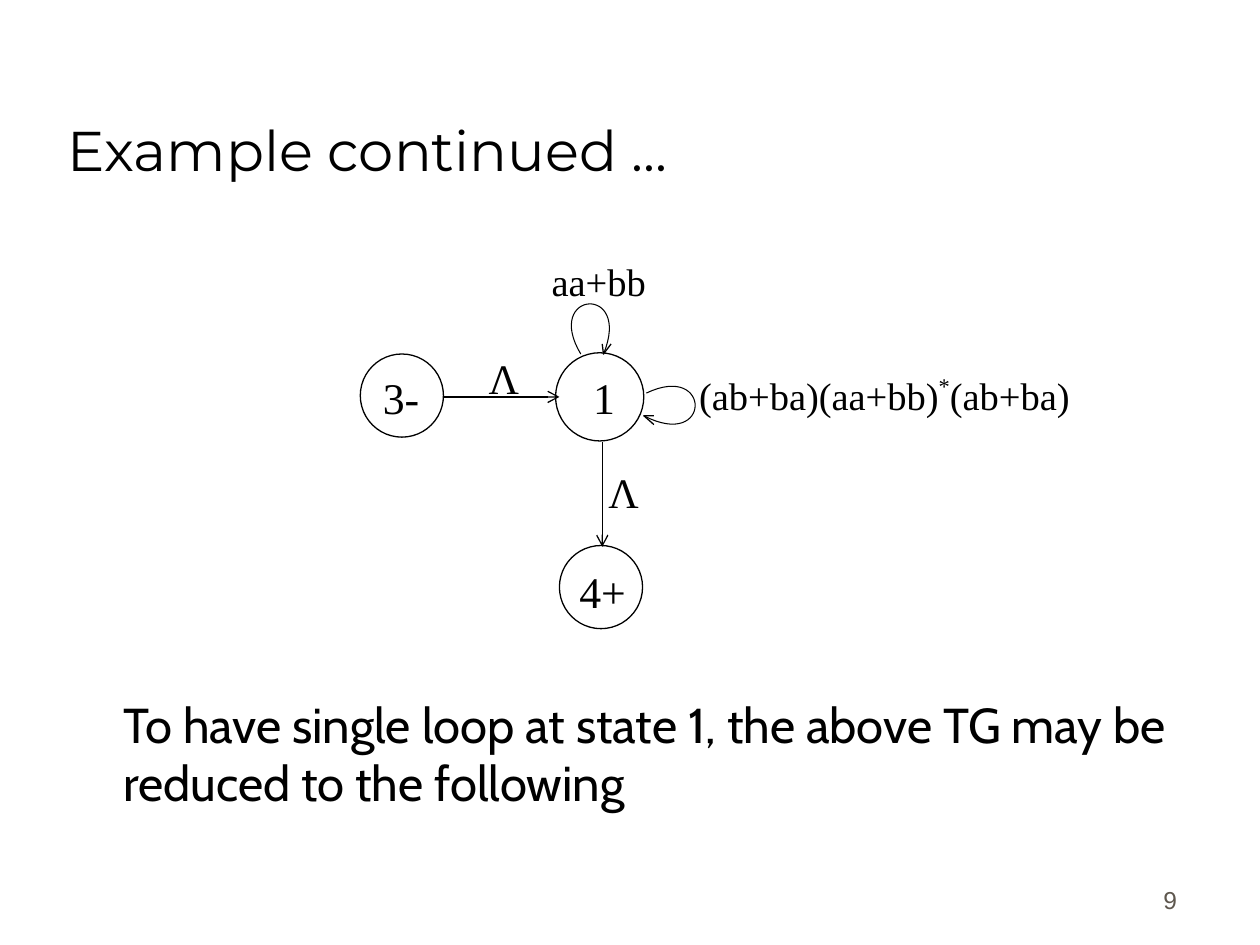
from lxml.etree import SubElement
from pptx import Presentation
from pptx.dml.color import RGBColor
from pptx.enum.shapes import MSO_CONNECTOR, MSO_SHAPE
from pptx.enum.text import MSO_ANCHOR as ANCHOR, PP_ALIGN as ALIGN
from pptx.oxml.ns import qn
from pptx.util import Inches, Pt

BLACK = RGBColor(0x00, 0x00, 0x00)
WHITE = RGBColor(0xFF, 0xFF, 0xFF)
GREY = RGBColor(0x5E, 0x57, 0x4E)
SERIF = "Times New Roman"
CURVE_STEPS = 32

presentation = Presentation()
presentation.slide_width = Inches(10)
presentation.slide_height = Inches(7.5)
# The slide is a grid of 10 columns by 7.5 rows.
COLUMN = presentation.slide_width / 10
ROW = presentation.slide_height / 7.5
slide = presentation.slides.add_slide(presentation.slide_layouts[6])
shapes = slide.shapes


def add_text(text, left, top, width, height, size, font=SERIF, color=BLACK,
             wrap=True, anchor=ANCHOR.TOP, align=ALIGN.LEFT):
    """Add a one-paragraph text box placed in grid units; return its paragraph."""
    box = shapes.add_textbox(int(left * COLUMN), int(top * ROW),
                             int(width * COLUMN), int(height * ROW))
    frame = box.text_frame
    frame.text = text
    frame.word_wrap = wrap
    frame.vertical_anchor = anchor
    paragraph = frame.paragraphs[0]
    paragraph.alignment = align
    paragraph.font.size = Pt(size)
    paragraph.font.name = font
    paragraph.font.color.rgb = color
    return paragraph


def add_outline(points, line_width):
    """Draw an open, unfilled line through points given in grid units."""
    corners = [(int(x * COLUMN), int(y * ROW)) for x, y in points]
    builder = shapes.build_freeform(*corners[0])
    builder.add_line_segments(corners[1:], close=False)
    outline = builder.convert_to_shape()
    outline.shadow.inherit = False
    outline.fill.background()
    outline.line.color.rgb = BLACK
    outline.line.width = Pt(line_width)


add_text("9", 7.36, 6.81, 2.08, 0.5, 14, "Arial", GREY,
         anchor=ANCHOR.BOTTOM, align=ALIGN.RIGHT)
add_text("Example continued ...", 0.44, 0.25, 8.5, 1.25, 32, "Montserrat",
         anchor=ANCHOR.BOTTOM)
add_text("To have single loop at state 1, the above TG may be reduced to the following",
         0.88, 5.46, 8.56, 1.16, 28, "Cabin")

# State circles: left, top, diameter
for left, top, diameter in [(4.41, 2.8, 0.7), (4.44, 4.33, 0.66), (2.86, 2.81, 0.66)]:
    state = shapes.add_shape(MSO_SHAPE.OVAL, int(left * COLUMN), int(top * ROW),
                             int(diameter * COLUMN), int(diameter * ROW))
    state.shadow.inherit = False
    state.fill.solid()
    state.fill.fore_color.rgb = WHITE
    state.line.color.rgb = BLACK
    state.line.width = Pt(0.75)

# Self-loops of state 1: Bezier control points, then the arrowhead
loops = [
    ([(4.61, 2.81), (4.31, 2.31), (5.02, 2.25), (4.79, 2.81)],
     [(4.78, 2.73), (4.79, 2.81), (4.85, 2.73)]),
    ([(5.13, 3.12), (5.65, 2.87), (5.65, 3.58), (5.11, 3.3)],
     [(5.19, 3.3), (5.11, 3.3), (5.19, 3.37)]),
]
for controls, arrowhead in loops:
    curve = []
    for step in range(CURVE_STEPS + 1):
        t = step / CURVE_STEPS
        weights = [(1 - t) ** 3, 3 * t * (1 - t) ** 2, 3 * t ** 2 * (1 - t), t ** 3]
        curve.append([sum(w * c for w, c in zip(weights, axis))
                      for axis in zip(*controls)])
    add_outline(curve, 0.6)
    add_outline(arrowhead, 0.75)

# Transitions between states
for x1, y1, x2, y2 in [(3.52, 3.15, 4.44, 3.15), (4.78, 3.51, 4.78, 4.34)]:
    arrow = shapes.add_connector(MSO_CONNECTOR.STRAIGHT, int(x1 * COLUMN), int(y1 * ROW),
                                 int(x2 * COLUMN), int(y2 * ROW))
    arrow.line.color.rgb = BLACK
    arrow.line.width = Pt(0.75)
    SubElement(arrow.line._get_or_add_ln(), qn("a:tailEnd"), type="arrow")
    SubElement(arrow._element.spPr, qn("a:effectLst"))

for name, left, top, width in [("4+", 4.5, 4.43, 0.57), ("3-", 2.94, 2.89, 0.49),
                               ("1", 4.61, 2.89, 0.37)]:
    add_text(name, left, top, width, 0.52, 25, wrap=False)
for left, top in [(3.78, 2.75), (4.73, 3.65)]:
    add_text("Λ", left, top, 0.44, 0.5, 24, wrap=False)

add_text("aa+bb", 4.28, 2, 0.98, 0.67, 22)
expression = add_text("(ab+ba)(aa+bb)", 5.45, 2.9, 3.72, 0.67, 22)
for part in ["*", "(ab+ba)"]:
    expression.add_run().text = part
expression.runs[1].font._element.set("baseline", "40000")
for run in expression.runs:
    run.font.size = Pt(22)
    run.font.name = SERIF
    run.font.color.rgb = BLACK

presentation.save("out.pptx")
